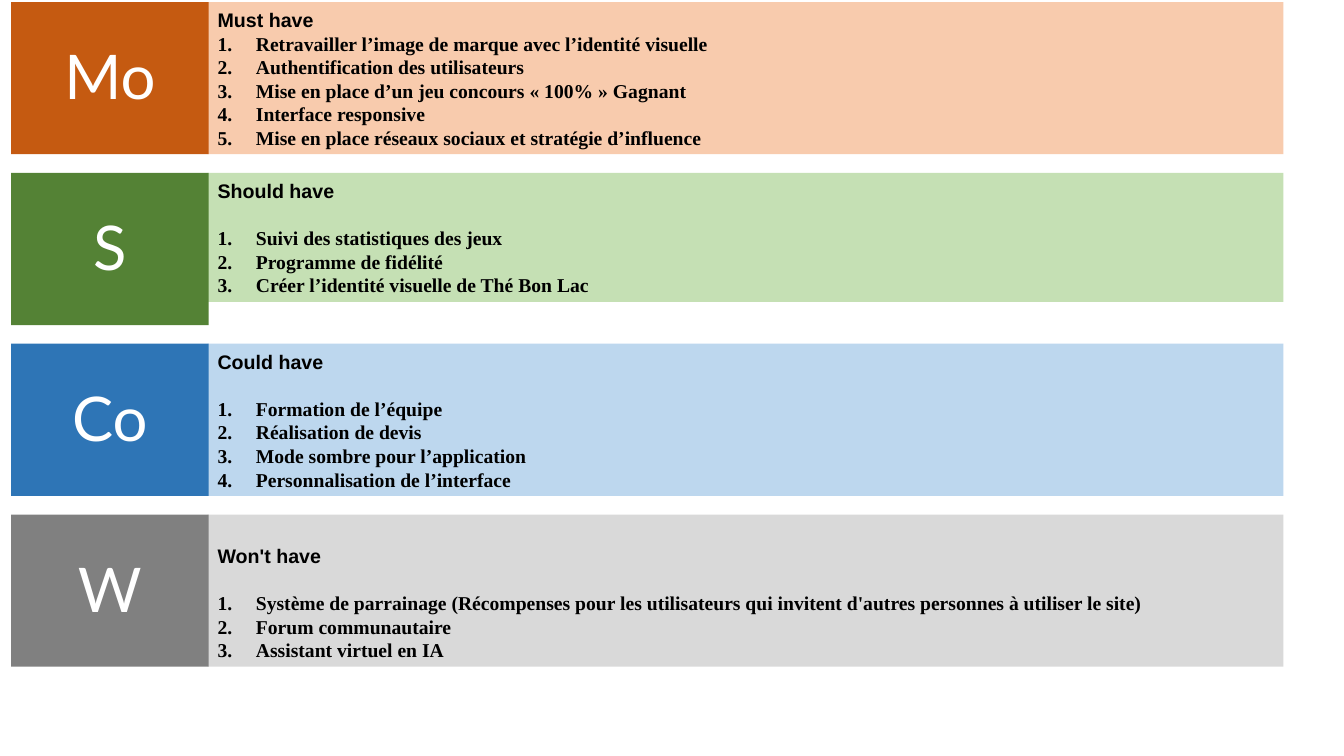
"""Build a MoSCoW priority slide with four coloured bands."""
from pptx import Presentation
from pptx.dml.color import RGBColor
from pptx.enum.shapes import MSO_SHAPE as Preset
from pptx.enum.text import MSO_ANCHOR as Anchor, PP_ALIGN as Align
from pptx.oxml.ns import qn
from pptx.util import Inches, Pt
from lxml.etree import SubElement

COLORS = {
    "must": "C55A11", "must_light": "F8CBAD",
    "should": "548235", "should_light": "C5E0B4",
    "could": "2E75B6", "could_light": "BDD7EE",
    "wont": "808080", "wont_light": "D9D9D9",
    "black": "000000", "white": "FFFFFF",
}
FULL_HEIGHT = 1.51
FIRST_TOP, BAND_STEP = 0.02, 1.695
BLANK_LINE = 17

bands = [
    ("must", "Mo", "Must have", FULL_HEIGHT, 0, [
        "Retravailler l’image de marque avec l’identité visuelle",
        "Authentification des utilisateurs",
        "Mise en place d’un jeu concours «\u00a0100%\u00a0» Gagnant",
        "Interface responsive",
        "Mise en place réseaux sociaux et stratégie d’influence",
    ]),
    ("should", "S", "Should have", 1.28, BLANK_LINE, [
        "Suivi des statistiques des jeux",
        "Programme de fidélité",
        "Créer l’identité visuelle de Thé Bon Lac",
    ]),
    ("could", "Co", "Could have", FULL_HEIGHT, BLANK_LINE, [
        "Formation de l’équipe",
        "Réalisation de devis",
        "Mode sombre pour l’application",
        "Personnalisation de l’interface",
    ]),
    ("wont", "W", "Won't have", FULL_HEIGHT, BLANK_LINE, [
        "Système de parrainage (Récompenses pour les utilisateurs qui "
        "invitent d'autres personnes à utiliser le site)",
        "Forum communautaire",
        "Assistant virtuel en IA",
    ]),
]


def add_block(shapes, left, top, width, height, color):
    block = shapes.add_shape(Preset.RECTANGLE, Inches(left), Inches(top),
                             Inches(width), Inches(height))
    block.shadow.inherit = False
    block.fill.solid()
    block.fill.fore_color.rgb = RGBColor.from_string(COLORS[color])
    block.line.fill.background()
    return block


def add_text(paragraph, text, font, size, color, bold=False):
    run = paragraph.add_run()
    run.text = text
    run.font.name = font
    run.font.size = Pt(size)
    run.font.bold = bold
    run.font.color.rgb = RGBColor.from_string(COLORS[color])


prs = Presentation()
prs.slide_width, prs.slide_height = Inches(13.33), Inches(7.5)
slide = prs.slides.add_slide(prs.slide_layouts[6])

for index, (key, initial, heading, height, gap, items) in enumerate(bands):
    top = FIRST_TOP + index * BAND_STEP
    band = slide.shapes.add_group_shape().shapes

    panel = add_block(band, 2.06, top, 10.67, height, f"{key}_light").text_frame
    panel.vertical_anchor = Anchor.BOTTOM
    title = panel.paragraphs[0]
    title.alignment = Align.LEFT
    title.space_after = Pt(gap)
    add_text(title, heading, "Arial", 14, "black", True)
    for item in items:
        entry = panel.add_paragraph()
        entry.alignment = Align.LEFT
        properties = entry._p.get_or_add_pPr()
        properties.set("marL", str(Inches(0.38)))
        properties.set("indent", str(-Inches(0.38)))
        SubElement(properties, qn("a:buFont"), typeface="+mj-lt")
        SubElement(properties, qn("a:buAutoNum"), type="arabicPeriod")
        add_text(entry, item, "Times New Roman", 14, "black", True)

    add_block(band, 0.11, top, 1.96, FULL_HEIGHT, key)
    letter = add_block(band, 0.22, top + 0.31, 1.74, 0.84, key).text_frame
    letter.vertical_anchor = Anchor.TOP
    letter.paragraphs[0].alignment = Align.CENTER
    add_text(letter.paragraphs[0], initial, "Lato", 44, "white")

prs.save("out.pptx")
